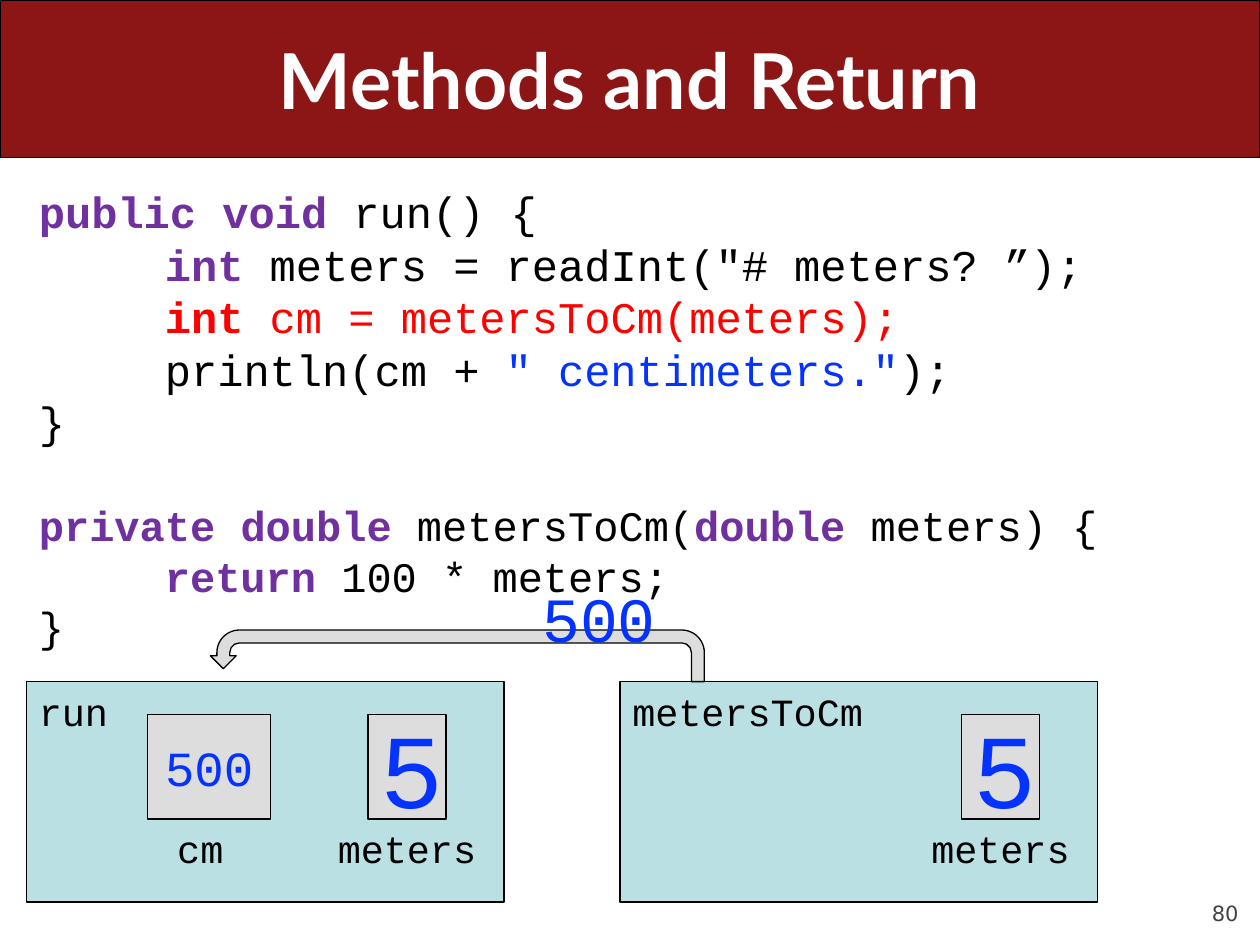
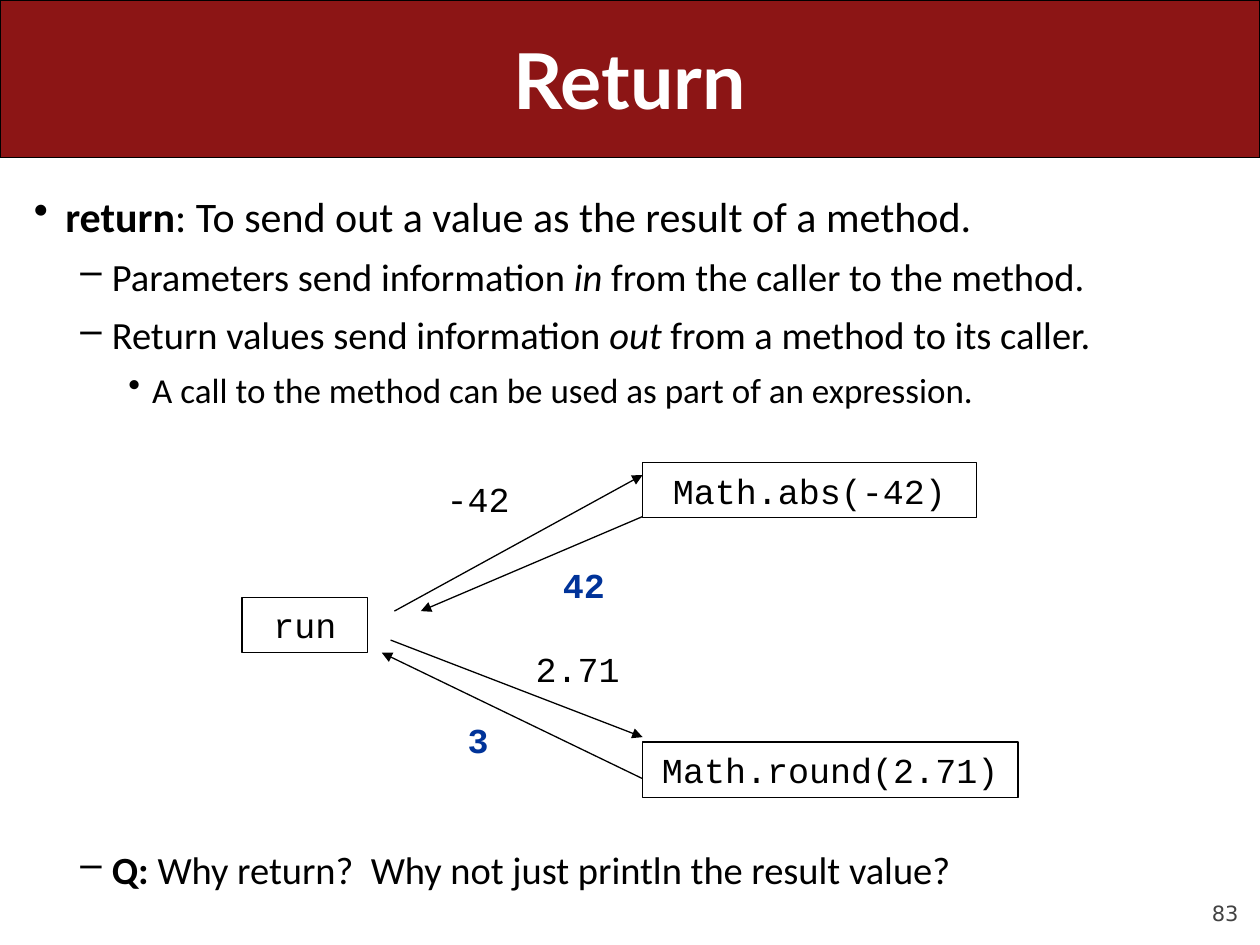
from dataclasses import dataclass
from typing import NamedTuple, Optional, Sequence

from lxml.etree import SubElement
from pptx import Presentation
from pptx.dml.color import RGBColor
from pptx.enum.shapes import MSO_CONNECTOR, MSO_SHAPE
from pptx.enum.text import MSO_ANCHOR, PP_ALIGN
from pptx.oxml.ns import qn
from pptx.shapes.autoshape import Shape
from pptx.slide import Slide
from pptx.util import Inches, Pt

BLACK = RGBColor(0, 0, 0)
WHITE = RGBColor(255, 255, 255)
RED = RGBColor(0xFF, 0, 0)
MAROON = RGBColor(0x8C, 0x15, 0x15)
PURPLE = RGBColor(0x70, 0x30, 0xA0)
BLUE = RGBColor(0x04, 0x32, 0xFF)
NAVY = RGBColor(0, 0x33, 0x99)
TEAL = RGBColor(0xBB, 0xE0, 0xE3)
SILVER = RGBColor(0xDD, 0xDD, 0xDD)
GREY = RGBColor(0x42, 0x42, 0x42)

MONO = "Courier New"
BODY = "Calibri"
LEFT, CENTER, RIGHT = PP_ALIGN.LEFT, PP_ALIGN.CENTER, PP_ALIGN.RIGHT
TOP, MIDDLE, BOTTOM = MSO_ANCHOR.TOP, MSO_ANCHOR.MIDDLE, MSO_ANCHOR.BOTTOM


class Area(NamedTuple):
    left: float
    top: float
    width: float
    height: float


class Run(NamedTuple):
    text: str
    color: Optional[RGBColor] = None
    bold: bool = False
    italic: bool = False


@dataclass
class Line:
    runs: Sequence[Run]
    size: Optional[float] = None
    indent: float = 0
    hang: float = 0
    bullet: str = ""
    before: float = 0
    spacing: float = 1


@dataclass
class Cell:
    left: float
    width: float
    value: str
    size: float
    name: str
    middle: float  # centre of the name, from the frame's left


@dataclass
class Frame:
    left: float
    name: str
    cells: Sequence[Cell]


@dataclass
class Tag:
    text: str
    area: Area
    boxed: bool = False
    result: bool = False


class Arrow(NamedTuple):
    x1: float
    y1: float
    x2: float
    y2: float


# Shared drawing functions
def place(area: Area) -> list:
    return [Inches(side) for side in area]


def write(shape: Shape, text: str | Sequence[Line], *, font: str = MONO,
          size: float = 20, color: RGBColor = BLACK, bold: bool = False,
          align: PP_ALIGN = LEFT, anchor: MSO_ANCHOR = TOP,
          inset: bool = True) -> None:
    frame = shape.text_frame
    frame.word_wrap = True
    frame.vertical_anchor = anchor
    if not inset:
        frame.margin_left = frame.margin_right = 0
        frame.margin_top = frame.margin_bottom = 0
    lines = [Line([Run(text, bold=bold)])] if isinstance(text, str) else text
    for index, line in enumerate(lines):
        para = frame.add_paragraph() if index else frame.paragraphs[0]
        para.alignment = align
        para.line_spacing = line.spacing
        para.space_before = Pt(line.before)
        props = para._p.get_or_add_pPr()
        props.set("marL", str(Inches(line.indent)))
        props.set("indent", str(Inches(-line.hang)))
        if line.bullet:
            SubElement(props, qn("a:buChar"), char=line.bullet)
        for part in line.runs:
            run = para.add_run()
            run.text = part.text
            run.font.name = font
            run.font.size = Pt(line.size or size)
            run.font.bold, run.font.italic = part.bold, part.italic
            run.font.color.rgb = part.color or color


def label(slide: Slide, area: Area, text: str | Sequence[Line], **style) -> None:
    write(slide.shapes.add_textbox(*place(area)), text, **style)


def block(slide: Slide, area: Area, fill: Optional[RGBColor] = None,
          kind: MSO_SHAPE = MSO_SHAPE.RECTANGLE) -> Shape:
    shape = slide.shapes.add_shape(kind, *place(area))
    shape.shadow.inherit = False
    if fill is None:
        shape.fill.background()
    else:
        shape.fill.solid()
        shape.fill.fore_color.rgb = fill
    shape.line.color.rgb = BLACK
    shape.line.width = Pt(0.75)
    return shape


def link(slide: Slide, arrow: Arrow) -> None:
    line = slide.shapes.add_connector(MSO_CONNECTOR.STRAIGHT, *map(Inches, arrow))
    line.line.color.rgb = BLACK
    line.line.width = Pt(0.75)
    SubElement(line.line._get_or_add_ln(), qn("a:tailEnd"), type="triangle")
    SubElement(line._element.spPr, qn("a:effectLst"))


def start(deck: Presentation, title: str, number: int) -> Slide:
    slide = deck.slides.add_slide(deck.slide_layouts[6])
    label(slide, Area(9, 6.95, 0.83, 0.4), str(number), font="DejaVu Sans",
          size=12, color=GREY, align=RIGHT, anchor=BOTTOM, inset=False)
    block(slide, Area(0, 0, 10, 1.25), MAROON)
    label(slide, Area(0.5, 0, 9, 1.25), title, font="Lato", size=44,
          color=WHITE, bold=True, align=CENTER, anchor=MIDDLE)
    return slide


def key(word: str) -> Run:
    return Run(word, PURPLE, True)


# Code listing and call frames
CODE = [
    Line([key("public void "), Run("run() {")], 25),
    Line([key("int "), Run('meters = readInt("# meters? ”);')], 25, 1),
    Line([Run("int", RED, True), Run(" cm = metersToCm(meters);", RED)], 25, 1),
    Line([Run("println(cm + "), Run('" centimeters."', BLUE), Run(");")], 25, 1),
    Line([Run("}")], 25),
    Line([key("private double "), Run("metersToCm("), key("double"),
          Run(" meters) {")], before=30),
    Line([key("return "), Run("100 * meters;")], indent=1),
    Line([Run("}")]),
]
METERS = Cell(2.71, 0.62, "5", 60, "meters", 3.02)
FRAMES = [
    Frame(0.21, "run", [Cell(0.96, 0.98, "500", 28, "cm", 1.38), METERS]),
    Frame(4.92, "metersToCm", [METERS]),
]


def trace(deck: Presentation) -> None:
    slide = start(deck, "Methods and Return", 80)
    label(slide, Area(0.21, 1.42, 9.58, 3.94), CODE, size=24)
    for frame in FRAMES:
        write(block(slide, Area(frame.left, 5.41, 3.79, 1.75), TEAL),
              frame.name, size=22)
        for cell in frame.cells:
            box = block(slide, Area(frame.left + cell.left, 5.67, cell.width, 0.83),
                        SILVER)
            write(box, cell.value, size=cell.size, color=BLUE,
                  align=CENTER, anchor=MIDDLE)
            label(slide, Area(frame.left + cell.middle - 0.7, 6.5, 1.4, 0.47),
                  cell.name, size=22, align=CENTER)
    # Value on its way back to run
    turn = block(slide, Area(1.67, 5, 3.92, 0.41), SILVER, MSO_SHAPE.U_TURN_ARROW)
    turn._element.spPr.get_or_add_xfrm().set("flipH", "1")
    label(slide, Area(4.19, 4.66, 1.13, 0.48), "500", size=36, color=BLUE,
          align=CENTER, anchor=MIDDLE)


# Bullets and call diagram
def point(level: int, *runs: Run, before: Optional[float] = None) -> Line:
    size = (24, 22, 20)[level]
    indent, hang = ((0.25, 0.25), (0.62, 0.25), (0.94, 0.19))[level]
    gap = size * 0.2 if before is None else before
    return Line(runs, size, indent, hang, "•–•"[level], gap, 1.1)


POINTS = [
    point(0, Run("return", bold=True),
          Run(": To send out a value as the result of a method.")),
    point(1, Run("Parameters send information "), Run("in ", italic=True),
          Run("from the caller to the method.")),
    point(1, Run("Return values send information "), Run("out ", italic=True),
          Run("from a method to its caller.")),
    point(2, Run("A call to the method can be used as part of an expression.")),
    point(1, Run("Q:", bold=True),
          Run(" Why return?  Why not just println the result value?"), before=246),
]
TAGS = [
    Tag("run", Area(1.92, 4.74, 1, 0.44), boxed=True),
    Tag("Math.abs(-42)", Area(5.1, 3.67, 2.65, 0.44), boxed=True),
    Tag("Math.round(2.71)", Area(5.1, 5.89, 2.98, 0.44), boxed=True),
    Tag("-42", Area(3.34, 3.74, 0.91, 0.43)),
    Tag("2.71", Area(4, 5.09, 1.17, 0.43)),
    Tag("42", Area(4.17, 4.42, 0.93, 0.43), result=True),
    Tag("3", Area(3.5, 5.65, 0.59, 0.43), result=True),
]
ARROWS = [
    Arrow(3.13, 4.85, 5.1, 3.77),
    Arrow(5.1, 4.1, 3.34, 4.85),
    Arrow(3.1, 5.08, 5.1, 5.85),
    Arrow(5.1, 6.18, 3.03, 5.18),
]


def explain(deck: Presentation) -> None:
    slide = start(deck, "Return", 83)
    label(slide, Area(0.17, 1.42, 9.67, 5.67), POINTS, font=BODY)
    for arrow in ARROWS:
        link(slide, arrow)
    for tag in TAGS:
        if tag.boxed:
            write(block(slide, tag.area), tag.text, align=CENTER, anchor=MIDDLE)
        else:
            label(slide, tag.area, tag.text, align=CENTER, bold=tag.result,
                  color=NAVY if tag.result else BLACK)


def main() -> None:
    deck = Presentation()
    deck.slide_width, deck.slide_height = Inches(10), Inches(7.5)
    trace(deck)
    explain(deck)
    deck.save("out.pptx")


if __name__ == "__main__":
    main()
